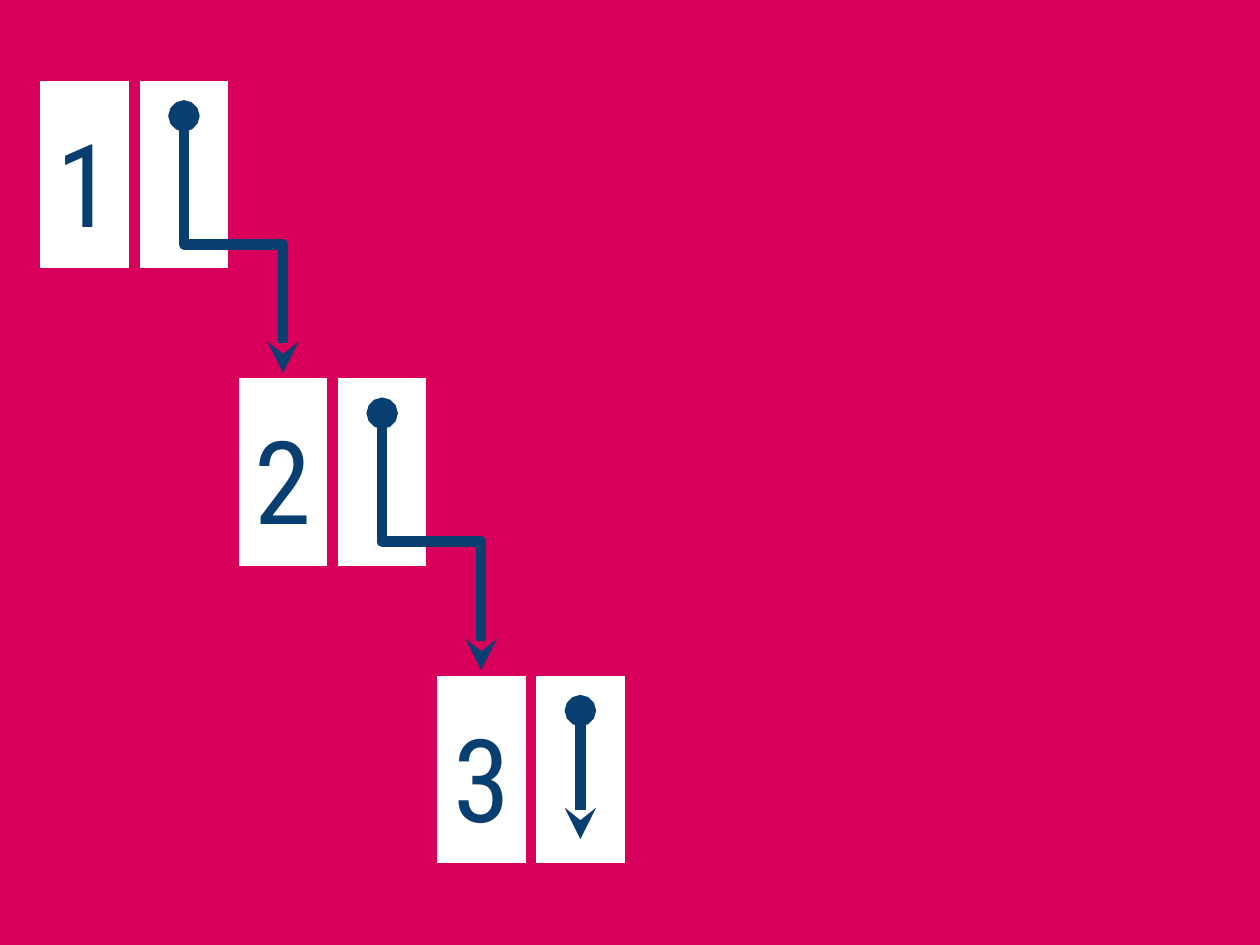
from lxml import etree
from pptx import Presentation
from pptx.dml.color import RGBColor
from pptx.enum.shapes import MSO_CONNECTOR, MSO_SHAPE
from pptx.enum.text import MSO_AUTO_SIZE
from pptx.oxml.ns import qn
from pptx.util import Inches, Pt

RECT = MSO_SHAPE.RECTANGLE
LINE = MSO_CONNECTOR.STRAIGHT
ELBOW = MSO_CONNECTOR.ELBOW
FIT = MSO_AUTO_SIZE.SHAPE_TO_FIT_TEXT

PINK = RGBColor(0xD8, 0x00, 0x5B)
NAVY = RGBColor(0x08, 0x3E, 0x70)
WHITE = RGBColor(0xFF, 0xFF, 0xFF)

# Grid: three nodes of two cells, six cells from LEFT to RIGHT
LEFT, RIGHT, TOP = 0.28, 5, 0.6
UNIT = (RIGHT - LEFT) / 6
TALL = 2 * UNIT
DROP = 3 * UNIT
START = 0.32


class Painter:
    font = "Roboto Condensed"
    size = Pt(66)
    weight = Pt(6)

    def __init__(self, slide):
        self.slide = slide
        slide.background.fill.solid()
        slide.background.fill.fore_color.rgb = PINK

    def cell(self, x, y):
        box = self.slide.shapes.add_shape(
            RECT, Inches(x), Inches(y), Inches(UNIT), Inches(TALL))
        box.shadow.inherit = False
        box.fill.solid()
        box.fill.fore_color.rgb = WHITE
        box.line.color.rgb = PINK
        box.line.width = self.weight

    def label(self, x, y, text):
        box = self.slide.shapes.add_textbox(
            Inches(x), Inches(y), Inches(0.65), Inches(1.21))
        frame = box.text_frame
        frame.word_wrap = False
        frame.auto_size = FIT
        para = frame.paragraphs[0]
        para.text = text
        para.font.name = self.font
        para.font.size = self.size
        para.font.color.rgb = NAVY

    def link(self, kind, x1, y1, x2, y2):
        link = self.slide.shapes.add_connector(
            kind, Inches(x1), Inches(y1), Inches(x2), Inches(y2))
        link.line.color.rgb = NAVY
        link.line.width = self.weight
        # Round joint, dot at the start, arrowhead at the end
        ln = link.line._get_or_add_ln()
        for tag, kind in (("round", None), ("headEnd", "oval"),
                          ("tailEnd", "stealth")):
            part = etree.SubElement(ln, qn(f"a:{tag}"))
            if kind:
                part.set("type", kind)
        etree.SubElement(link._element.spPr, qn("a:effectLst"))
        return link

    def arrow(self, x, y, length):
        self.link(LINE, x, y, x, y + length)

    def elbow(self, x1, y1, x2, y2):
        # Leaves downwards: a flipped elbow about the same centre, turned
        mid_x, mid_y = (x1 + x2) / 2, (y1 + y2) / 2
        half_w, half_h = (y2 - y1) / 2, (x2 - x1) / 2
        link = self.link(ELBOW, mid_x + half_w, mid_y - half_h,
                         mid_x - half_w, mid_y + half_h)
        link.rotation = 270


def main():
    deck = Presentation()
    deck.slide_width, deck.slide_height = Inches(10), Inches(7.5)
    pen = Painter(deck.slides.add_slide(deck.slide_layouts[6]))
    spots = [(LEFT + i * TALL, TOP + i * DROP) for i in range(3)]

    # Nodes: a value cell and a pointer cell
    for num, (x, y) in enumerate(spots, 1):
        pen.cell(x, y)
        pen.label(x + 0.07, y + 0.24, str(num))
        pen.cell(x + UNIT, y)

    # Pointers to the next node, then the last one
    for (x, y), (next_x, next_y) in zip(spots, spots[1:]):
        pen.elbow(x + 1.5 * UNIT, y + START, next_x + UNIT / 2, next_y)
    x, y = spots[-1]
    pen.arrow(x + 1.5 * UNIT, y + START, 1.02)

    deck.save("out.pptx")


if __name__ == "__main__":
    main()
